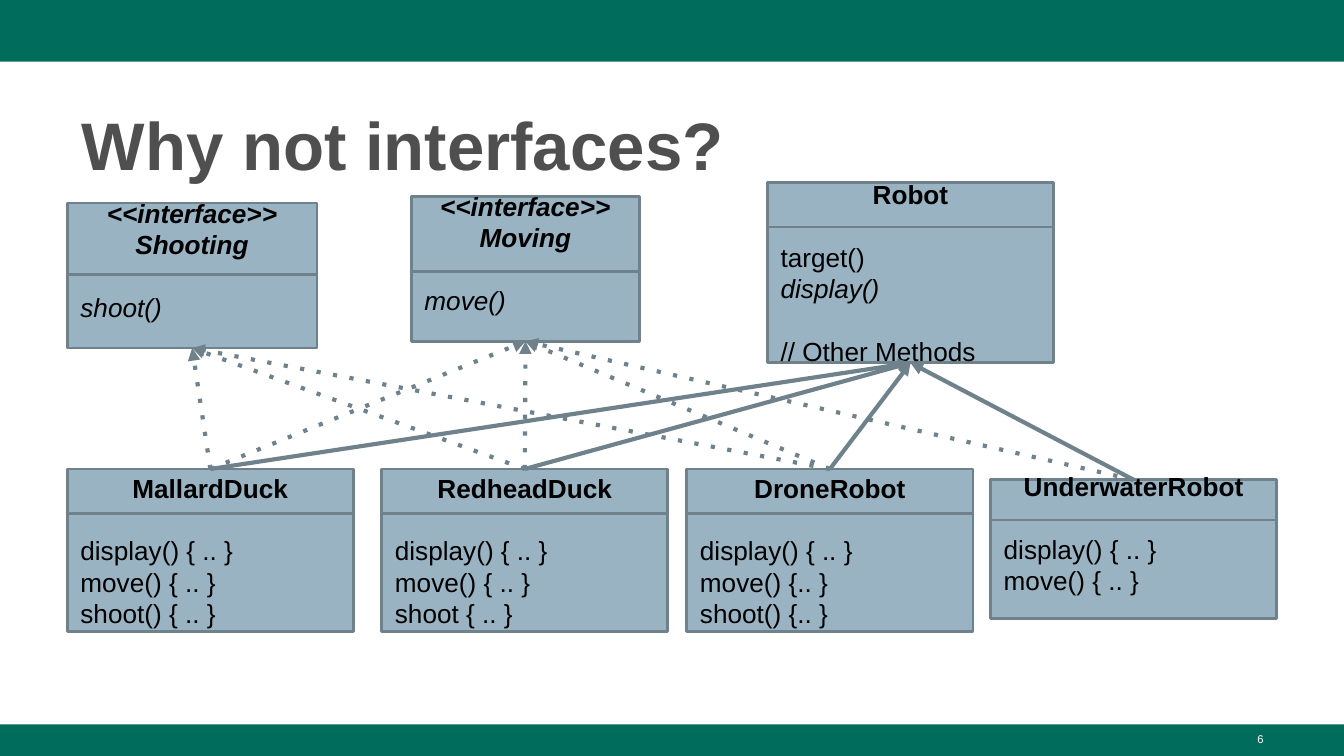
from dataclasses import dataclass

from lxml.etree import SubElement
from pptx import Presentation
from pptx.dml.color import RGBColor
from pptx.enum.shapes import MSO_CONNECTOR, MSO_SHAPE
from pptx.enum.text import MSO_ANCHOR, PP_ALIGN
from pptx.oxml.ns import qn
from pptx.util import Inches, Pt


@dataclass(frozen=True)
class Theme:
    font: str = "Arial"
    band: RGBColor = RGBColor(0x00, 0x6C, 0x5C)
    title: RGBColor = RGBColor(0x4F, 0x4F, 0x4F)
    box: RGBColor = RGBColor(0x99, 0xB3, 0xC2)
    line: RGBColor = RGBColor(0x6F, 0x82, 0x8C)
    text: RGBColor = RGBColor(0x00, 0x00, 0x00)
    white: RGBColor = RGBColor(0xFF, 0xFF, 0xFF)
    title_size: int = 36
    body_size: int = 14
    number_size: int = 6
    line_gap: float = 16.8
    border: float = 1.5
    arrow: float = 2.25


THEME = Theme()
TOP, BOTTOM = 0, 2
WIDTH = 10
HEIGHT = WIDTH * 9 / 16
BLANK_LINE = THEME.line_gap / 72


def add_run(p, text, size, color, bold=False, italic=False):
    r = p.add_run()
    r.text = text
    r.font.name = THEME.font
    r.font.size = Pt(size)
    r.font.color.rgb = color
    r.font.bold = bold
    r.font.italic = italic


def add_rect(s, x, y, w, h, fill):
    sp = s.shapes.add_shape(MSO_SHAPE.RECTANGLE, Inches(x), Inches(y), Inches(w), Inches(h))
    sp.shadow.inherit = False
    sp.fill.solid()
    sp.fill.fore_color.rgb = fill
    sp.line.fill.background()
    return sp


def add_text(s, x, y, w, h, text, size, color, bold=False, align=PP_ALIGN.LEFT, spacing=1.0):
    tf = s.shapes.add_textbox(Inches(x), Inches(y), Inches(w), Inches(h)).text_frame
    tf.word_wrap = True
    p = tf.paragraphs[0]
    p.alignment = align
    p.line_spacing = spacing
    add_run(p, text, size, color, bold)


def add_line(s, start, end, width):
    """Draw a plain line between two (x, y) points."""
    points = [Inches(v) for v in (*start, *end)]
    line = s.shapes.add_connector(MSO_CONNECTOR.STRAIGHT, *points)
    line.line.color.rgb = THEME.line
    line.line.width = Pt(width)
    SubElement(line._element.spPr, qn("a:effectLst"))
    return line


def add_class(s, x, y, w, h, divider, heading, members, blank_after=False):
    """Draw a class box; members are (text, italic, blank lines before)."""
    sp = add_rect(s, x, y, w, h, THEME.box)
    sp.line.color.rgb = THEME.line
    sp.line.width = Pt(THEME.border)
    tf = sp.text_frame
    tf.word_wrap = True
    tf.vertical_anchor = MSO_ANCHOR.MIDDLE
    tf.margin_left = tf.margin_right = tf.margin_top = Inches(0.1)
    tf.margin_bottom = Inches(0.1 + BLANK_LINE * blank_after)

    interface = len(heading) > 1
    rows = [(text, True, interface, 0, PP_ALIGN.CENTER) for text in heading]
    rows += [(text, False, italic, gap, PP_ALIGN.LEFT) for text, italic, gap in members]
    for i, (text, bold, italic, gap, align) in enumerate(rows):
        p = tf.add_paragraph() if i else tf.paragraphs[0]
        p.alignment = align
        if gap:
            p.space_before = Pt(gap * THEME.line_gap)
        add_run(p, text, THEME.body_size, THEME.text, bold, italic)
    add_line(s, (x, divider), (x + w, divider), THEME.border)
    return sp


def add_arrow(s, child, parent, dotted):
    """Join the top of child to the bottom of parent."""
    arrow = add_line(s, (0, 0), (1, 1), THEME.arrow)
    arrow.begin_connect(child, TOP)
    arrow.end_connect(parent, BOTTOM)
    ln = arrow.line._get_or_add_ln()
    if dotted:
        SubElement(ln, qn("a:prstDash"), val="dot")
    SubElement(ln, qn("a:tailEnd"), type="triangle")


def add_subclass(s, x, name, methods, y=3.49, h=1.21, divider=3.82, blank_after=False):
    members = [(text, False, int(i == 0)) for i, text in enumerate(methods)]
    return add_class(s, x, y, 2.13, h, divider, [name], members, blank_after)


def add_interface(s, x, y, w, divider, name, method):
    return add_class(s, x, y, w, 1.08, divider, ["<<interface>>", name],
                     [(method, True, 1)], blank_after=True)


def main():
    prs = Presentation()
    prs.slide_width, prs.slide_height = Inches(WIDTH), Inches(HEIGHT)
    s = prs.slides.add_slide(prs.slide_layouts[6])

    for top, bottom in ((0, 0.46), (5.39, HEIGHT)):
        add_rect(s, 0, top, WIDTH, bottom - top, THEME.band)
    add_text(s, 0.51, 0.67, 8.99, 0.73, "Why not interfaces?",
             THEME.title_size, THEME.title, bold=True, spacing=1.08)

    robot = add_class(s, 5.71, 1.36, 2.13, 1.34, 1.69, ["Robot"],
                      [("target()", False, 1), ("display()", True, 0),
                       ("// Other Methods", False, 1)])
    mallard = add_subclass(s, 0.5, "MallardDuck",
                           ["display() { .. }", "move() { .. }", "shoot() { .. }"])
    redhead = add_subclass(s, 2.84, "RedheadDuck",
                           ["display() { .. }", "move() { .. }", "shoot { .. }"])
    drone = add_subclass(s, 5.11, "DroneRobot",
                         ["display() { .. }", "move() {.. }", "shoot() {.. }"])
    underwater = add_subclass(s, 7.37, "UnderwaterRobot",
                              ["display() { .. }", "move() { .. }"],
                              y=3.57, h=1.03, divider=3.87, blank_after=True)
    shooting = add_interface(s, 0.5, 1.51, 1.86, 2.04, "Shooting", "shoot()")
    moving = add_interface(s, 3.06, 1.46, 1.7, 2.02, "Moving", "move()")

    for parent, children, dotted in (
        (robot, (mallard, redhead, drone, underwater), False),
        (shooting, (mallard, redhead, drone), True),
        (moving, (mallard, redhead, drone, underwater), True),
    ):
        for child in children:
            add_arrow(s, child, parent, dotted)

    add_text(s, 7.17, 5.4, 2.33, 0.23, "6", THEME.number_size, THEME.white,
             align=PP_ALIGN.RIGHT)
    prs.save("out.pptx")


if __name__ == "__main__":
    main()
